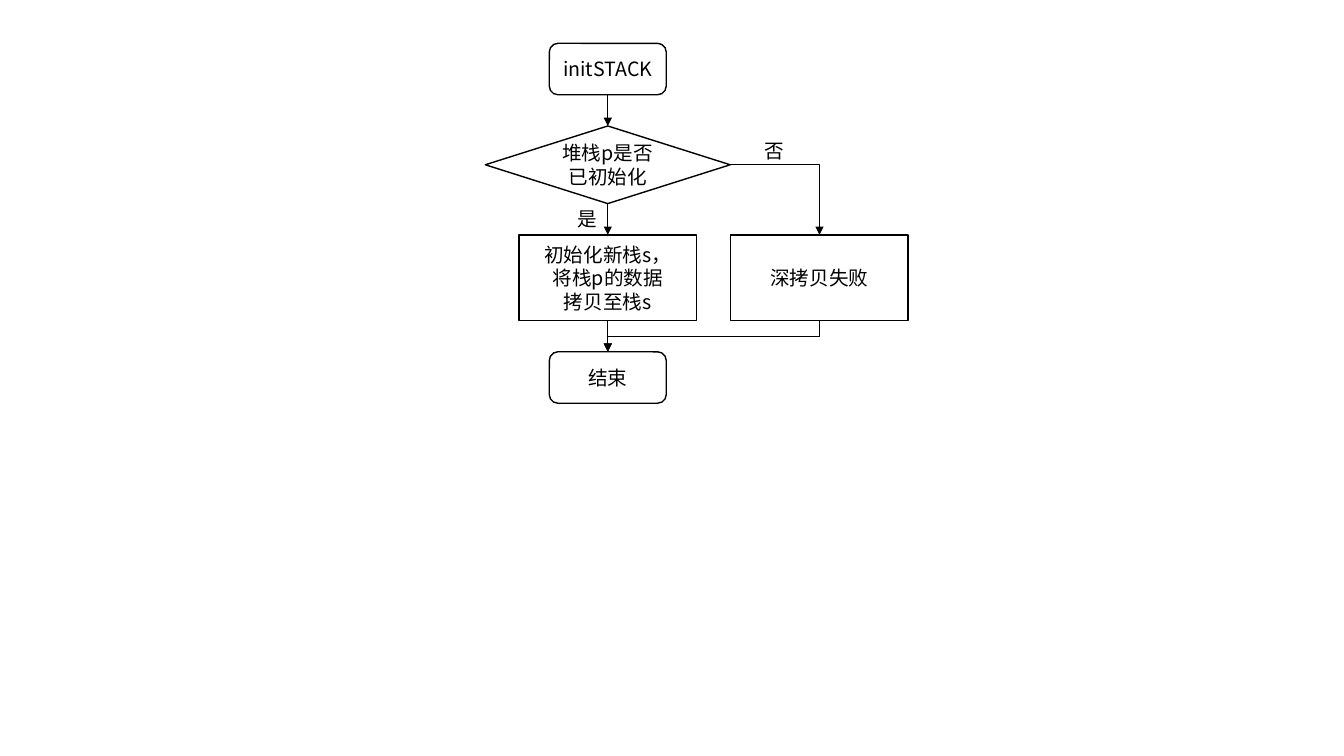
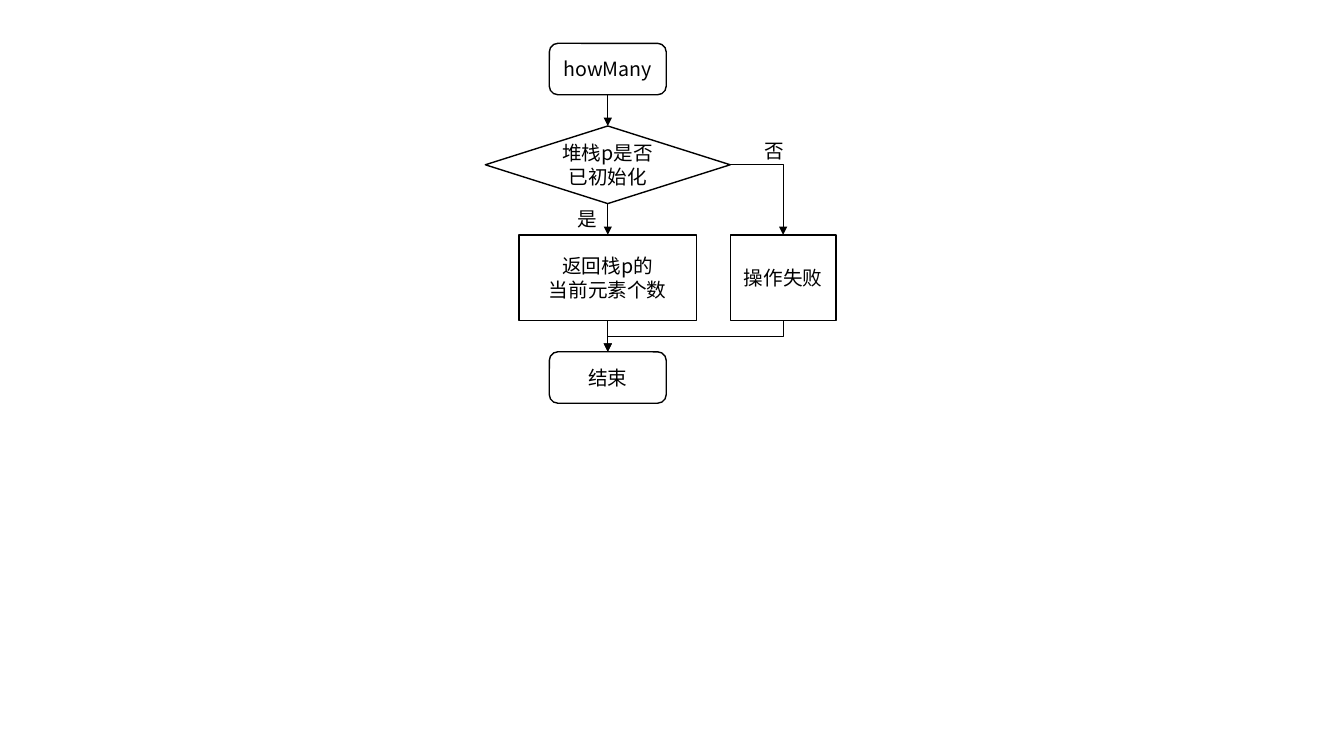
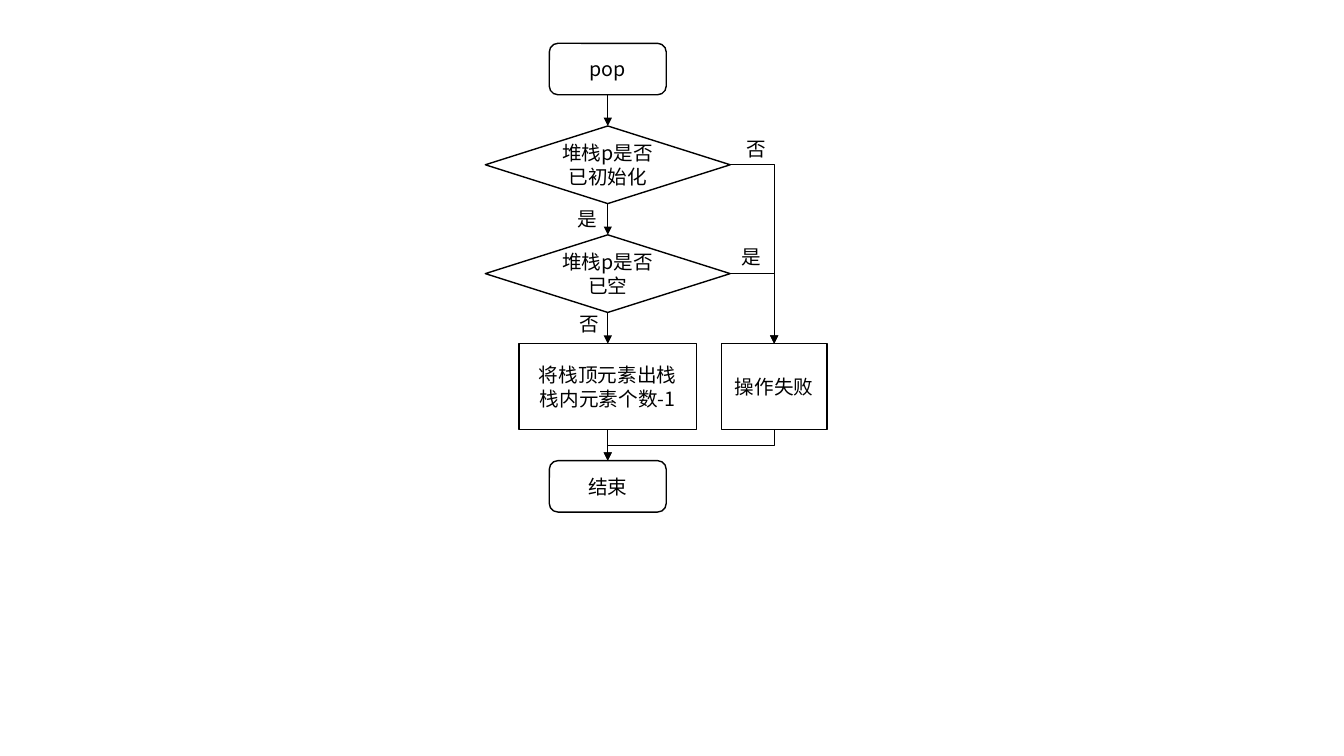
from itertools import pairwise

from lxml.etree import SubElement
from pptx import Presentation
from pptx.dml.color import RGBColor
from pptx.enum.shapes import MSO_CONNECTOR as LINK, MSO_SHAPE as SHAPE
from pptx.enum.text import MSO_ANCHOR as ANCHOR, MSO_AUTO_SIZE as FIT, PP_ALIGN as ALIGN
from pptx.oxml.ns import qn
from pptx.util import Inches, Pt

COLORS = {"ink": "000000", "paper": "FFFFFF"}
FONT, TEXT_SIZE = "Noto Sans CJK SC", 14

# Flowchart grid, in inches
AXIS, FIRST_ROW, ROW_GAP = 6.03, 0.43, 0.31
TERMINAL = (SHAPE.ROUNDED_RECTANGLE, 1.16, 0.51)
DECISION = (SHAPE.DIAMOND, 2.43, 0.77)
ACTION = (SHAPE.RECTANGLE, 1.76, 0.85)
SHORT_ACTION = (SHAPE.RECTANGLE, 1.05, 0.85)
LABEL_SIZE = (0.4, 0.34)
TOP, BOTTOM, RIGHT = 0, 2, 3  # connection sites

INITIALISED = (DECISION, "堆栈p是否已初始化")
FAILED = "操作失败"
YES_BELOW = ("是", 5.63, 2.0)
NO_BESIDE = ("否", 7.49, 1.33)

# Each chart: inner steps, failure box (kind, text, centre), branch labels
CHARTS = {
    "initSTACK": (
        [INITIALISED, (ACTION, "初始化新栈s，\n将栈p的数据\n拷贝至栈s")],
        (ACTION, "深拷贝失败", 8.13),
        [NO_BESIDE, YES_BELOW],
    ),
    "howMany": (
        [INITIALISED, (ACTION, "返回栈p的\n当前元素个数")],
        (SHORT_ACTION, FAILED, 7.77),
        [NO_BESIDE, YES_BELOW],
    ),
    "pop": (
        [INITIALISED, (DECISION, "堆栈p是否\n已空"),
         (ACTION, "将栈顶元素出栈\n栈内元素个数-1")],
        (SHORT_ACTION, FAILED, 7.68),
        [("否", 7.31, 1.31), YES_BELOW, ("否", 5.65, 3.05), ("是", 7.26, 2.38)],
    ),
}


def color(name):
    """Look up a palette colour."""
    return RGBColor.from_string(COLORS[name])


def write(frame, text, align):
    """Fill a text frame and format every run."""
    frame.text = text
    for paragraph in frame.paragraphs:
        paragraph.alignment = align
        for run in paragraph.runs:
            run.font.size = Pt(TEXT_SIZE)
            run.font.name = FONT
            run.font.color.rgb = color("ink")
            SubElement(run.font._element, qn("a:ea"), typeface=FONT)


def add_step(slide, kind, text, center, top):
    """Draw one flowchart step centred on a column."""
    preset, width, height = kind
    step = slide.shapes.add_shape(preset, Inches(center - width / 2), Inches(top),
                                  Inches(width), Inches(height))
    step.shadow.inherit = False
    step.fill.solid()
    step.fill.fore_color.rgb = color("paper")
    step.line.color.rgb = color("ink")
    step.line.width = Pt(1)
    step.text_frame.word_wrap = True
    step.text_frame.vertical_anchor = ANCHOR.MIDDLE
    write(step.text_frame, text, ALIGN.CENTER)
    return step


def add_label(slide, text, left, top):
    """Write a branch answer next to its arrow."""
    label = slide.shapes.add_textbox(*map(Inches, (left, top, *LABEL_SIZE)))
    label.text_frame.word_wrap = False
    label.text_frame.auto_size = FIT.SHAPE_TO_FIT_TEXT
    write(label.text_frame, text, ALIGN.LEFT)


def add_arrow(slide, source, exit_site, target, route=LINK.STRAIGHT):
    """Connect one step to the top of another with an arrow."""
    arrow = slide.shapes.add_connector(route, 0, 0, 0, 0)
    arrow.begin_connect(source, exit_site)
    arrow.end_connect(target, TOP)
    arrow.line.color.rgb = color("ink")
    arrow.line.width = Pt(0.5)
    properties = arrow._element.spPr
    SubElement(properties.find(qn("a:ln")), qn("a:tailEnd"), type="triangle")
    SubElement(properties, qn("a:effectLst"))
    return arrow


def add_branch(slide, decision, failure):
    """Lead from a decision's right corner down to the failure box."""
    branch = add_arrow(slide, decision, RIGHT, failure, LINK.ELBOW)
    branch._element.spPr.find(qn("a:prstGeom")).set("prst", "bentConnector2")


def add_merge(slide, failure, end):
    """Lead from the failure box down, left and down to the end."""
    merge = add_arrow(slide, failure, BOTTOM, end, LINK.ELBOW)
    across, down = merge.width, merge.height
    shift = (across - down) // 2
    # A quarter turn makes the elbow leave and arrive vertically
    merge.left, merge.top = merge.left + shift, merge.top - shift
    merge.width, merge.height = down, across
    frame = merge._element.spPr.find(qn("a:xfrm"))
    frame.set("flipH", "0")
    frame.set("rot", str(90 * 60000))


def add_flowchart(slide, name, inner_steps, failure_box, labels):
    """Stack the steps on the main axis and add the failure branch."""
    steps, top = [], FIRST_ROW
    for kind, text in [(TERMINAL, name), *inner_steps, (TERMINAL, "结束")]:
        steps.append(add_step(slide, kind, text, AXIS, top))
        top += kind[2] + ROW_GAP
    for upper, lower in pairwise(steps):
        add_arrow(slide, upper, BOTTOM, lower)

    *decisions, action, end = steps[1:]
    failure = add_step(slide, *failure_box, action.top.inches)
    for decision in decisions:
        add_branch(slide, decision, failure)
    add_merge(slide, failure, end)
    for label in labels:
        add_label(slide, *label)


def main():
    """Build one slide per stack operation."""
    deck = Presentation()
    deck.slide_width, deck.slide_height = Inches(40 / 3), Inches(7.5)
    for name, chart in CHARTS.items():
        add_flowchart(deck.slides.add_slide(deck.slide_layouts[6]), name, *chart)
    deck.save("out.pptx")


main()
